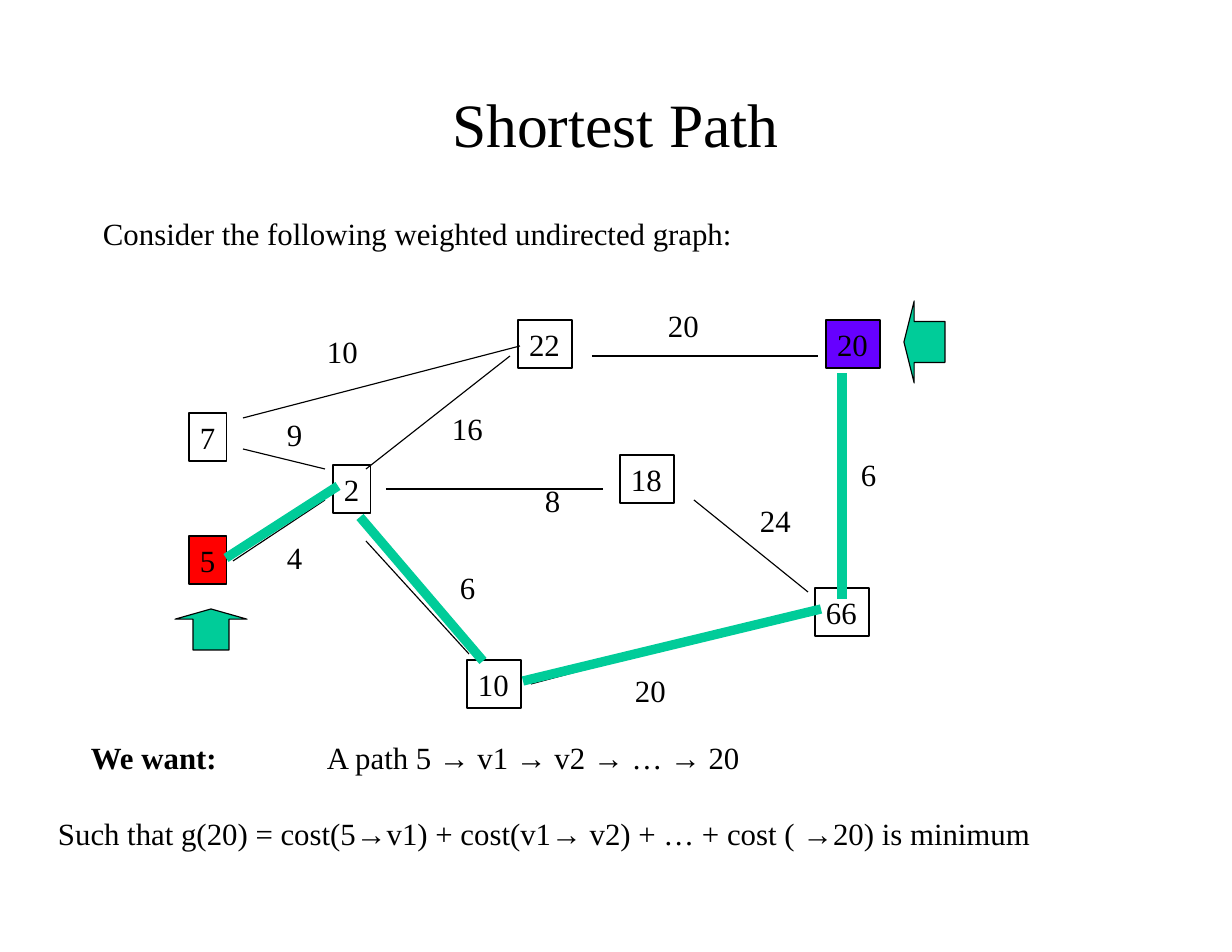
from pptx import Presentation
from pptx.dml.color import RGBColor
from pptx.enum.shapes import MSO_CONNECTOR, MSO_SHAPE
from pptx.enum.text import MSO_ANCHOR, PP_ALIGN
from pptx.oxml.ns import qn
from pptx.util import Emu, Pt
from lxml.etree import SubElement

COLORS = {"ink": "000000", "start": "FF0000", "goal": "6600FF", "path": "00CC99"}
FONT = "Times New Roman"
BODY, TITLE = 19.8, 39.6
ROW_H = 48
PAD_X, PAD_Y = 11, 6
DIGIT_W = {1: 38, 2: 54}  # box width by number of digits

# text, left, top, fill
NODES = [
    ("5", 189, 536, "start"), ("2", 333, 465, None), ("7", 189, 413, None),
    ("10", 467, 660, None), ("18", 620, 455, None), ("22", 518, 320, None),
    ("66", 815, 588, None), ("20", 826, 320, "goal"),
]
# x1, y1, x2, y2
EDGES = [
    (233, 561, 325, 500), (243, 449, 325, 469), (366, 541, 469, 654),
    (386, 489, 603, 489), (366, 469, 510, 356), (243, 418, 520, 346),
    (531, 684, 797, 613), (694, 500, 808, 592), (592, 356, 818, 356),
    (842, 579, 842, 383),
]
# text, left, top
WEIGHTS = [
    ("10", 316, 327), ("20", 657, 301), ("16", 441, 404), ("4", 276, 533),
    ("6", 449, 563), ("8", 534, 476), ("24", 749, 496), ("20", 624, 666),
    ("6", 850, 450), ("9", 276, 410),
]
SHORTEST = [
    (226, 558, 338, 486), (360, 517, 483, 661), (523, 681, 821, 609),
    (842, 599, 842, 373),
]
# shape, left, top, width, height
MARKERS = [
    (MSO_SHAPE.UP_ARROW, 175, 609, 72, 41),
    (MSO_SHAPE.LEFT_ARROW, 904, 301, 41, 82),
]
# text, left, top, width, wrap, bold
SENTENCES = [
    ("Consider the following weighted undirected graph:", 92, 209, 656, False, False),
    ("We want:", 80, 733, 151, False, True),
    ("A path 5 → v1 → v2 → … → 20", 316, 733, 438, False, False),
    ("Such that g(20) = cost(5→v1) + cost(v1→ v2) + … + cost ( →20) is minimum",
     47, 809, 1113, True, False),
]


def px(n):
    return Emu(round(n * 914400 / 112))


def rgb(name):
    return RGBColor.from_string(COLORS[name])


def write(s, text, size=BODY, bold=False, align=PP_ALIGN.LEFT,
          anchor=MSO_ANCHOR.TOP, wrap=False):
    tf = s.text_frame
    tf.word_wrap = wrap
    tf.vertical_anchor = anchor
    tf.margin_left = tf.margin_right = px(PAD_X)
    tf.margin_top = tf.margin_bottom = px(PAD_Y)
    p = tf.paragraphs[0]
    p.alignment = align
    r = p.add_run()
    r.text = text
    r.font.name, r.font.size, r.font.bold = FONT, Pt(size), bold
    r.font.color.rgb = rgb("ink")


def add_text(slide, text, x, y, w, h=ROW_H, **fmt):
    write(slide.shapes.add_textbox(px(x), px(y), px(w), px(h)), text, **fmt)


def add_outlined(slide, kind, x, y, w, h, fill):
    s = slide.shapes.add_shape(kind, px(x), px(y), px(w), px(h))
    s.shadow.inherit = False
    if fill:
        s.fill.solid()
        s.fill.fore_color.rgb = rgb(fill)
    else:
        s.fill.background()
    s.line.color.rgb = rgb("ink")
    s.line.width = Pt(0.75)
    return s


def add_line(slide, ends, color, width):
    s = slide.shapes.add_connector(MSO_CONNECTOR.STRAIGHT, *map(px, ends))
    s.line.color.rgb = rgb(color)
    s.line.width = Pt(width)
    SubElement(s._element.spPr, qn("a:effectLst"))


def main():
    prs = Presentation()
    prs.slide_width, prs.slide_height = px(1232), px(952)
    slide = prs.slides.add_slide(prs.slide_layouts[6])

    add_text(slide, "Shortest Path", 92, 45, 1047, 155, size=TITLE,
             align=PP_ALIGN.CENTER, anchor=MSO_ANCHOR.MIDDLE, wrap=True)
    for text, x, y, fill in NODES:
        s = add_outlined(slide, MSO_SHAPE.RECTANGLE, x, y, DIGIT_W[len(text)], ROW_H, fill)
        write(s, text)
    for ends in EDGES:
        add_line(slide, ends, "ink", 0.75)
    for text, x, y in WEIGHTS:
        add_text(slide, text, x, y, DIGIT_W[len(text)])
    for kind, x, y, w, h in MARKERS:
        s = add_outlined(slide, kind, x, y, w, h, "path")
        s.adjustments[0], s.adjustments[1] = 0.5, 0.25
    for text, x, y, w, wrap, bold in SENTENCES:
        add_text(slide, text, x, y, w, wrap=wrap, bold=bold)
    for ends in SHORTEST:
        add_line(slide, ends, "path", 6)

    prs.save("out.pptx")


if __name__ == "__main__":
    main()
